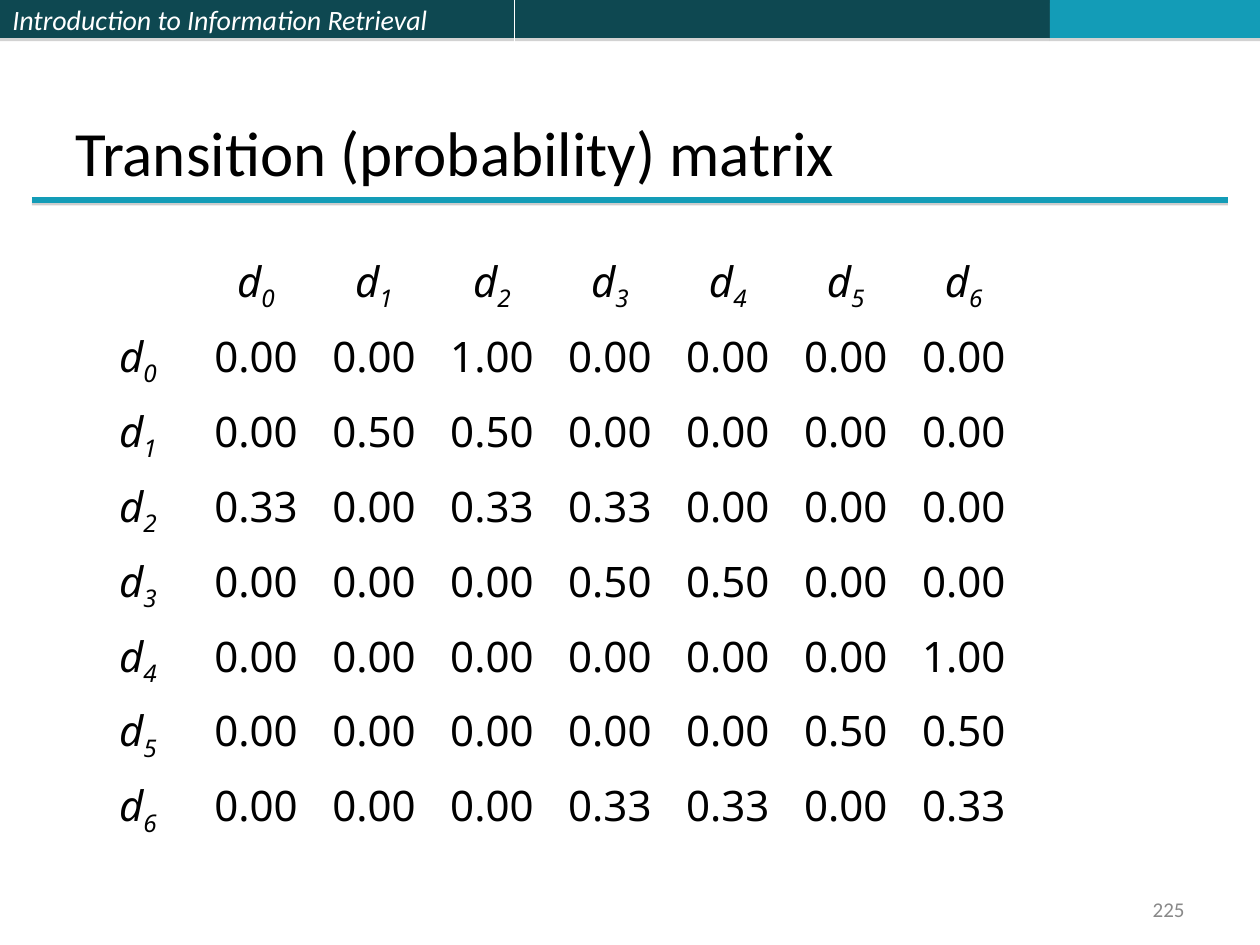
from lxml.etree import SubElement
from pptx import Presentation
from pptx.dml.color import RGBColor
from pptx.enum.shapes import MSO_CONNECTOR, MSO_SHAPE
from pptx.enum.text import MSO_ANCHOR, PP_ALIGN
from pptx.oxml.ns import qn
from pptx.util import Emu, Pt

PX = 914400 // 126
DARK_TEAL = RGBColor(0x0E, 0x48, 0x51)
TEAL = RGBColor(0x13, 0x9C, 0xB7)
WHITE = RGBColor(0xFF, 0xFF, 0xFF)
BLACK = RGBColor(0, 0, 0)
GREY = RGBColor(0x89, 0x89, 0x89)

BAR_HEIGHT = 38
COLUMN_WIDTH = 118
ROW_HEIGHT = 75
TRANSITIONS = [
    ["0.00", "0.00", "1.00", "0.00", "0.00", "0.00", "0.00"],
    ["0.00", "0.50", "0.50", "0.00", "0.00", "0.00", "0.00"],
    ["0.33", "0.00", "0.33", "0.33", "0.00", "0.00", "0.00"],
    ["0.00", "0.00", "0.00", "0.50", "0.50", "0.00", "0.00"],
    ["0.00", "0.00", "0.00", "0.00", "0.00", "0.00", "1.00"],
    ["0.00", "0.00", "0.00", "0.00", "0.00", "0.50", "0.50"],
    ["0.00", "0.00", "0.00", "0.33", "0.33", "0.00", "0.33"],
]


def px(*lengths):
    return [Emu(length * PX) for length in lengths]


def add_shadow(shape, distance, opacity):
    """Give the shape a grey shadow that falls straight down."""
    effects = SubElement(shape._element.spPr, qn("a:effectLst"))
    shadow = SubElement(effects, qn("a:outerShdw"), dist=str(Pt(distance)),
                        dir="5400000", rotWithShape="0")
    color = SubElement(shadow, qn("a:srgbClr"), val="808080")
    SubElement(color, qn("a:alpha"), val=str(opacity * 1000))


def add_span(para, text, size=24, font="Noto Sans", color=BLACK,
             italic=False, subscript=False):
    span = para.add_run()
    span.text = text
    span.font.size = Pt(size)
    span.font.name = font
    span.font.color.rgb = color
    span.font.italic = italic
    if subscript:
        span._r.get_or_add_rPr().set("baseline", "-25000")


def write_text(shape, text, align=PP_ALIGN.LEFT, anchor=MSO_ANCHOR.MIDDLE, **style):
    frame = shape.text_frame
    frame.word_wrap = True
    frame.vertical_anchor = anchor
    para = frame.paragraphs[0]
    para.alignment = align
    add_span(para, text, font="Calibri", **style)


def add_bar(page, left, width, color):
    bar = page.shapes.add_shape(MSO_SHAPE.RECTANGLE, *px(left, 0, width, BAR_HEIGHT))
    bar.fill.solid()
    bar.fill.fore_color.rgb = color
    bar.line.fill.background()
    add_shadow(bar, 1.8, 35)
    return bar


def add_rule(page):
    rule = page.shapes.add_connector(MSO_CONNECTOR.STRAIGHT, *px(32, 200, 1228, 200))
    rule.line.color.rgb = TEAL
    rule.line.width = Pt(3)
    add_shadow(rule, 1.6, 38)


def add_matrix(page, left, top):
    count = len(TRANSITIONS) + 1
    table = page.shapes.add_table(
        count, count, *px(left, top, count * COLUMN_WIDTH, count * ROW_HEIGHT)).table
    table.first_row = False
    table.horz_banding = False
    for row in range(count):
        for column in range(count):
            cell = table.cell(row, column)
            cell.fill.background()
            para = cell.text_frame.paragraphs[0]
            para.alignment = PP_ALIGN.CENTER
            if row and column:
                add_span(para, TRANSITIONS[row - 1][column - 1])
            elif row or column:
                add_span(para, "d", italic=True)
                add_span(para, str(row + column - 1), italic=True, subscript=True)


def main():
    deck = Presentation()
    deck.slide_width, deck.slide_height = px(1260, 945)
    page = deck.slides.add_slide(deck.slide_layouts[6])

    course_bar = add_bar(page, 0, 514, DARK_TEAL)
    write_text(course_bar, "Introduction to Information Retrieval",
               size=16, color=WHITE, italic=True)
    add_bar(page, 515, 535, DARK_TEAL)
    add_bar(page, 1050, 210, TEAL)
    add_rule(page)

    number = page.shapes.add_textbox(*px(903, 892, 294, 34))
    write_text(number, "225", align=PP_ALIGN.RIGHT, size=12, color=GREY)
    title = page.shapes.add_textbox(*px(63, 1, 1134, 194))
    write_text(title, "Transition (probability) matrix",
               anchor=MSO_ANCHOR.BOTTOM, size=36)
    add_matrix(page, 79, 246)

    deck.save("out.pptx")


if __name__ == "__main__":
    main()
